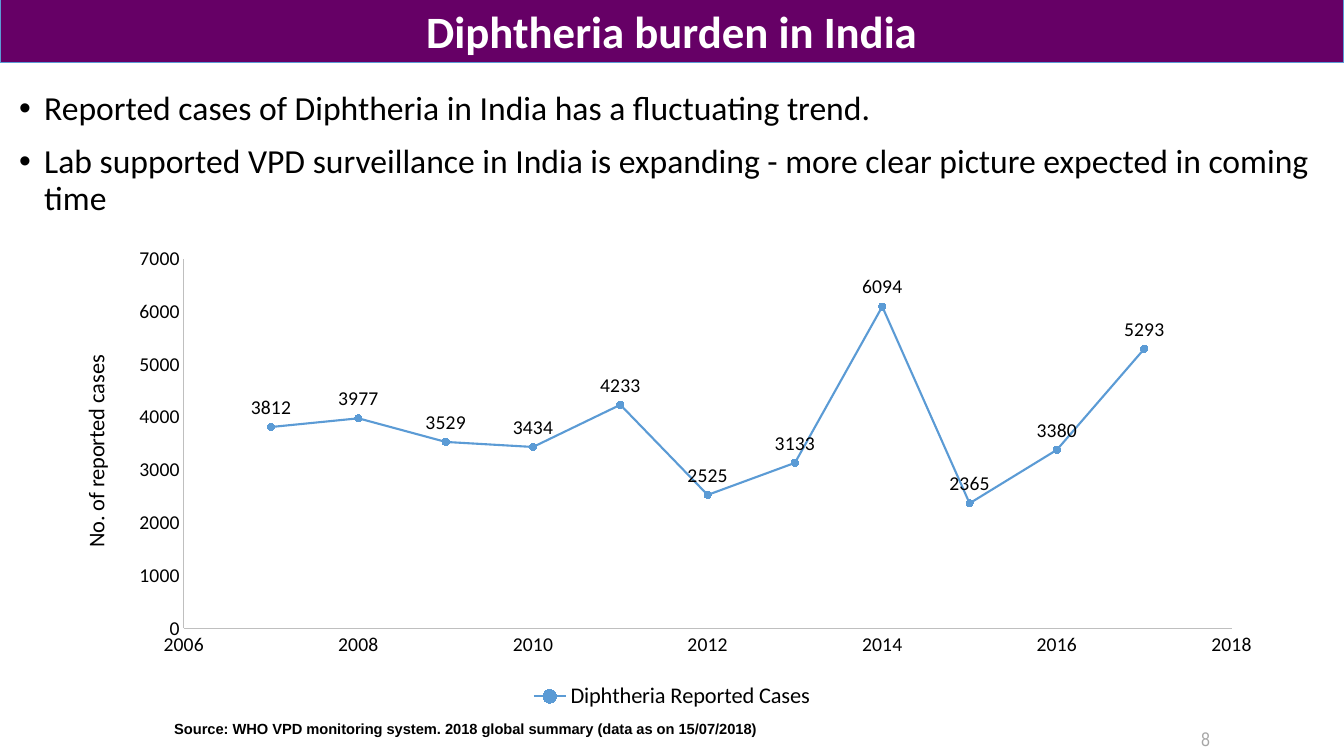
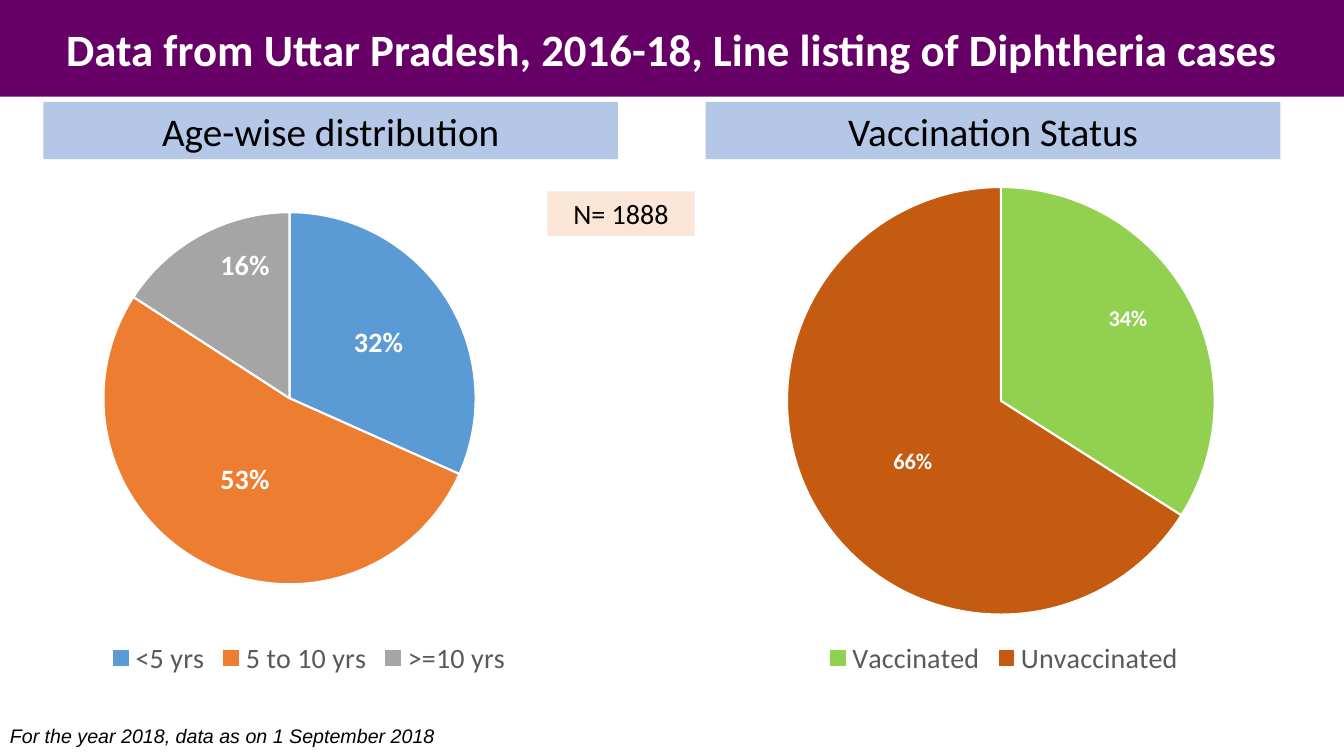
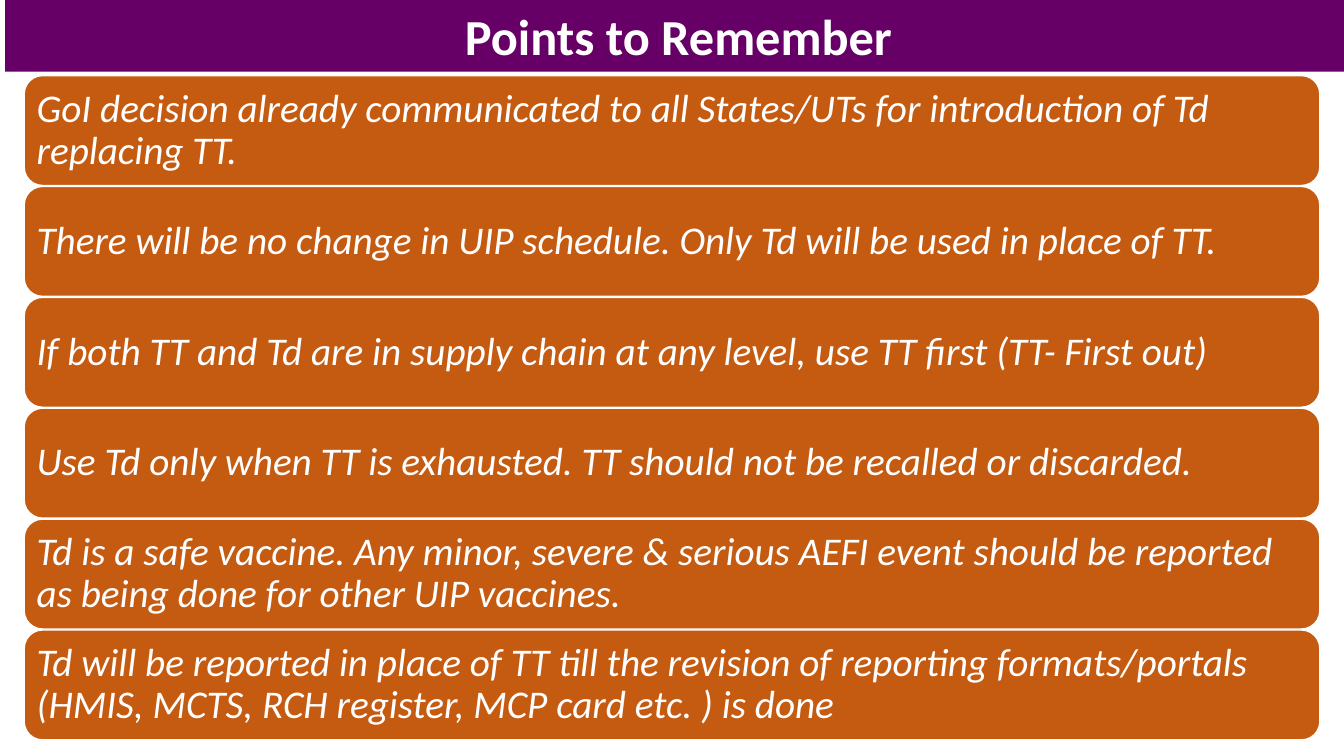
from lxml import etree
from pptx import Presentation
from pptx import util as u
from pptx.chart import data, datalabel
from pptx.dml.color import RGBColor
from pptx.enum import chart as charts, shapes, text
from pptx.oxml.ns import qn

COLORS = {
    "purple": "660066", "blue": "5B9BD5", "orange": "ED7D31", "gray": "A5A5A5",
    "green": "92D050", "rust": "C55A11", "heading": "B4C7E7", "peach": "FBE5D6",
    "axis": "BFBFBF", "number": "A6A6A6", "legend": "595959",
    "white": "FFFFFF", "black": "000000",
}
RGB = {name: RGBColor.from_string(value) for name, value in COLORS.items()}
LEFT, CENTER, RIGHT = text.PP_ALIGN.LEFT, text.PP_ALIGN.CENTER, text.PP_ALIGN.RIGHT
TOP, MIDDLE = text.MSO_ANCHOR.TOP, text.MSO_ANCHOR.MIDDLE
TITLE = dict(color="white", fill="purple", align=CENTER, anchor=MIDDLE, bold=True)


def add_text(slide, words, at, size, color="black", fill=None, line=None, kind="RECTANGLE",
             align=LEFT, anchor=TOP, font="Calibri", bold=False, italic=False):
    """Add a filled shape, or a plain text box when there is no fill."""
    place = [u.Inches(length) for length in at]
    if fill:
        shape = slide.shapes.add_shape(shapes.MSO_SHAPE[kind], *place)
        shape.shadow.inherit = False
        shape.fill.solid()
        shape.fill.fore_color.rgb = RGB[fill]
        if line:
            shape.line.color.rgb = RGB[line]
            shape.line.width = u.Pt(1)
        else:
            shape.line.fill.background()
    else:
        shape = slide.shapes.add_textbox(*place)
    frame = shape.text_frame
    frame.word_wrap = True
    frame.vertical_anchor = anchor
    frame.text = words
    for paragraph in frame.paragraphs:
        paragraph.alignment = align
        for run in paragraph.runs:
            run.font.name, run.font.size = font, u.Pt(size)
            run.font.bold, run.font.italic = bold, italic
            run.font.color.rgb = RGB[color]
    return shape


def set_layout(parent, index, **lengths):
    """Place a plot area (x, y, w, h) or shift a data label (x, y)."""
    for old in parent.findall(qn("c:layout")):
        parent.remove(old)
    layout = etree.Element(qn("c:layout"))
    manual = etree.SubElement(layout, qn("c:manualLayout"))
    if "w" in lengths:
        etree.SubElement(manual, qn("c:layoutTarget")).set("val", "inner")
        for mode in ("xMode", "yMode"):
            etree.SubElement(manual, qn("c:" + mode)).set("val", "edge")
    for name, value in lengths.items():
        etree.SubElement(manual, qn("c:" + name)).set("val", str(value))
    parent.insert(index, layout)


presentation = Presentation()
presentation.slide_width, presentation.slide_height = u.Inches(13.33), u.Inches(7.5)
burden, state, points = [
    presentation.slides.add_slide(presentation.slide_layouts[6]) for _ in range(3)]

# Slide 1: title and bullets
add_text(burden, "Diphtheria burden in India", (0, -0.02, 13.33, 0.64), 32, line="blue", **TITLE)
bullets = add_text(
    burden,
    "Reported cases of Diphtheria in India has a fluctuating trend.\n"
    "Lab supported VPD surveillance in India is expanding - more clear picture expected "
    "in coming time",
    (0.09, 0.86, 13.15, 1.02), 24)
for paragraph in bullets.text_frame.paragraphs:
    paragraph.line_spacing = 0.9
    paragraph.space_before = paragraph.space_after = u.Pt(6)
    properties = paragraph._p.get_or_add_pPr()
    properties.set("marL", str(u.Inches(0.25)))
    properties.set("indent", str(u.Inches(-0.25)))
    etree.SubElement(properties, qn("a:buFont")).set("typeface", "Arial")
    etree.SubElement(properties, qn("a:buChar")).set("char", "•")

# Slide 1: reported cases by year
case_data = data.XyChartData()
case_series = case_data.add_series("Diphtheria Reported Cases")
cases = [3812, 3977, 3529, 3434, 4233, 2525, 3133, 6094, 2365, 3380, 5293]
for year, count in enumerate(cases, 2007):
    case_series.add_data_point(year, count)
chart = burden.shapes.add_chart(
    charts.XL_CHART_TYPE.XY_SCATTER_LINES, u.Inches(0.76), u.Inches(2.33),
    u.Inches(11.81), u.Inches(4.76), case_data).chart
chart.has_title = False
chart.font.name, chart.font.size = "Calibri", u.Pt(14)
chart.font.color.rgb = RGB["black"]
chart.has_legend = True
chart.legend.position = charts.XL_LEGEND_POSITION.BOTTOM
chart.legend.include_in_layout = False
chart.legend.font.size = u.Pt(16)
set_layout(chart.plots[0]._element.getparent(), 0, x=0.09, y=0.05, w=0.88, h=0.77)
for axis, low, high, step in ((chart.category_axis, 2006, 2018, 2),
                              (chart.value_axis, 0, 7000, 1000)):
    axis.minimum_scale, axis.maximum_scale, axis.major_unit = low, high, step
    axis.has_major_gridlines = False
    axis.major_tick_mark = axis.minor_tick_mark = charts.XL_TICK_MARK.NONE
    axis.format.line.color.rgb = RGB["axis"]
    axis.format.line.width = u.Pt(0.75)
    axis.tick_labels.font.size = u.Pt(14)
axis_title = chart.value_axis.axis_title.text_frame
axis_title.text = "No. of reported cases"
title_font = axis_title.paragraphs[0].runs[0].font
title_font.name, title_font.size, title_font.bold = "Calibri", u.Pt(16), False
chart.plots[0].vary_by_categories = False
series = chart.plots[0].series[0]
series._element.get_or_add_smooth().val = False
series.format.line.color.rgb = RGB["blue"]
series.format.line.width = u.Pt(1.5)
series.marker.style = charts.XL_MARKER_STYLE.CIRCLE
series.marker.size = 5
series.marker.format.fill.solid()
series.marker.format.fill.fore_color.rgb = RGB["blue"]
series.marker.format.line.color.rgb = RGB["blue"]
labels = datalabel.DataLabels(series._element.get_or_add_dLbls())
labels.show_value = True
labels.position = charts.XL_LABEL_POSITION.ABOVE
labels.font.size = u.Pt(14)

# Slide 1: source and slide number
add_text(burden, "Source: WHO VPD monitoring system. 2018 global summary (data as on 15/07/2018)",
         (1.63, 7.09, 10.16, 0.28), 10.5, font="Arial", bold=True)
add_text(burden, "8", (9.57, 7.13, 2.53, 0.4), 14, "number",
         align=RIGHT, anchor=MIDDLE, font="Arial Narrow")

# Slide 2: title
add_text(state, "Data from Uttar Pradesh, 2016-18, Line listing of Diphtheria cases",
         (0, 0, 13.33, 0.96), 32, **TITLE)

# Slide 2: pies; each slice has a name, percentage, colour and label shift
pies = [
    ("Age-wise distribution", 0.43, 0.31, 20, dict(x=0.13, y=0.08, w=0.67, h=0.73),
     [("<5 yrs", 32, "blue", (0.02, -0.01)), ("5 to 10 yrs", 53, "orange", (0, 0)),
      (">=10 yrs", 16, "gray", (0, -0.1))]),
    ("Vaccination Status", 7, 7.2, 16, dict(x=0.11, y=0.03, w=0.77, h=0.84),
     [("Vaccinated", 34, "green", (0.06, -0.06)), ("Unvaccinated", 66, "rust", (0.01, 0.02))]),
]
for heading, heading_left, pie_left, label_size, plot_place, slices in pies:
    add_text(state, heading, (heading_left, 1.01, 5.7, 0.57), 28, fill="heading",
             align=CENTER, anchor=MIDDLE)
    pie_data = data.CategoryChartData()
    pie_data.categories = [name for name, *_ in slices]
    pie_data.add_series("Series 1", [share for _, share, *_ in slices])
    pie = state.shapes.add_chart(
        charts.XL_CHART_TYPE.PIE, u.Inches(pie_left), u.Inches(1.7),
        u.Inches(5.51), u.Inches(5.06), pie_data).chart
    pie.has_title = False
    pie.font.name, pie.font.size = "Calibri", u.Pt(10)
    pie.has_legend = True
    pie.legend.position = charts.XL_LEGEND_POSITION.BOTTOM
    pie.legend.include_in_layout = False
    pie.legend.font.size = u.Pt(20)
    pie.legend.font.color.rgb = RGB["legend"]
    plot = pie.plots[0]
    plot.vary_by_categories = True
    set_layout(plot._element.getparent(), 0, **plot_place)
    for index, (_, _, color, _) in enumerate(slices):
        point = plot.series[0].points[index]
        point.format.fill.solid()
        point.format.fill.fore_color.rgb = RGB[color]
        point.format.line.color.rgb = RGB["white"]
        point.format.line.width = u.Pt(1.5)
        label = point.data_label
        label.position = charts.XL_LABEL_POSITION.CENTER
        label.font.name, label.font.size, label.font.bold = "Calibri", u.Pt(label_size), True
        label.font.color.rgb = RGB["white"]
    for element, (*_, shift) in zip(plot.series[0]._element.iter(qn("c:dLbl")), slices):
        set_layout(element, 1, x=shift[0], y=shift[1])
        number_format = etree.Element(qn("c:numFmt"), formatCode='0"%"', sourceLinked="0")
        element.insert(2, number_format)

# Slide 2: sample size and date
add_text(state, "N= 1888", (5.43, 1.9, 1.46, 0.44), 20, fill="peach",
         align=CENTER, anchor=MIDDLE)
add_text(state, "For the year 2018, data as on 1 September 2018", (0, 7.13, 5, 0.34), 14,
         font="Arial", italic=True)

# Slide 3: stacked reminders under the title
reminders = [
    "GoI decision already communicated to all States/UTs for introduction of Td replacing TT.",
    "There will be no change in UIP schedule. Only Td will be used in place of TT.",
    "If both TT and Td are in supply chain at any level, use TT first (TT- First out)",
    "Use Td only when TT is exhausted. TT should not be recalled or discarded.",
    "Td is a safe vaccine. Any minor, severe & serious AEFI event should be reported "
    "as being done for other UIP vaccines.",
    "Td will be reported in place of TT till the revision of reporting formats/portals "
    "(HMIS, MCTS, RCH register, MCP card etc. ) is done",
]
for row, reminder in enumerate(reminders):
    card = add_text(points, reminder, (0.24, 0.75 + 1.1 * row, 12.85, 1.09), 28, "white",
                    fill="rust", line="white", kind="ROUNDED_RECTANGLE",
                    anchor=MIDDLE, italic=True)
    # The preset insets its text by the corner radius, so the margin is small
    card.text_frame.margin_left = card.text_frame.margin_right = u.Inches(0.07)
    card.text_frame.paragraphs[0].line_spacing = 0.9
add_text(points, "Points to Remember", (0.05, 0, 13.36, 0.71), 36, **TITLE)

presentation.save("out.pptx")
